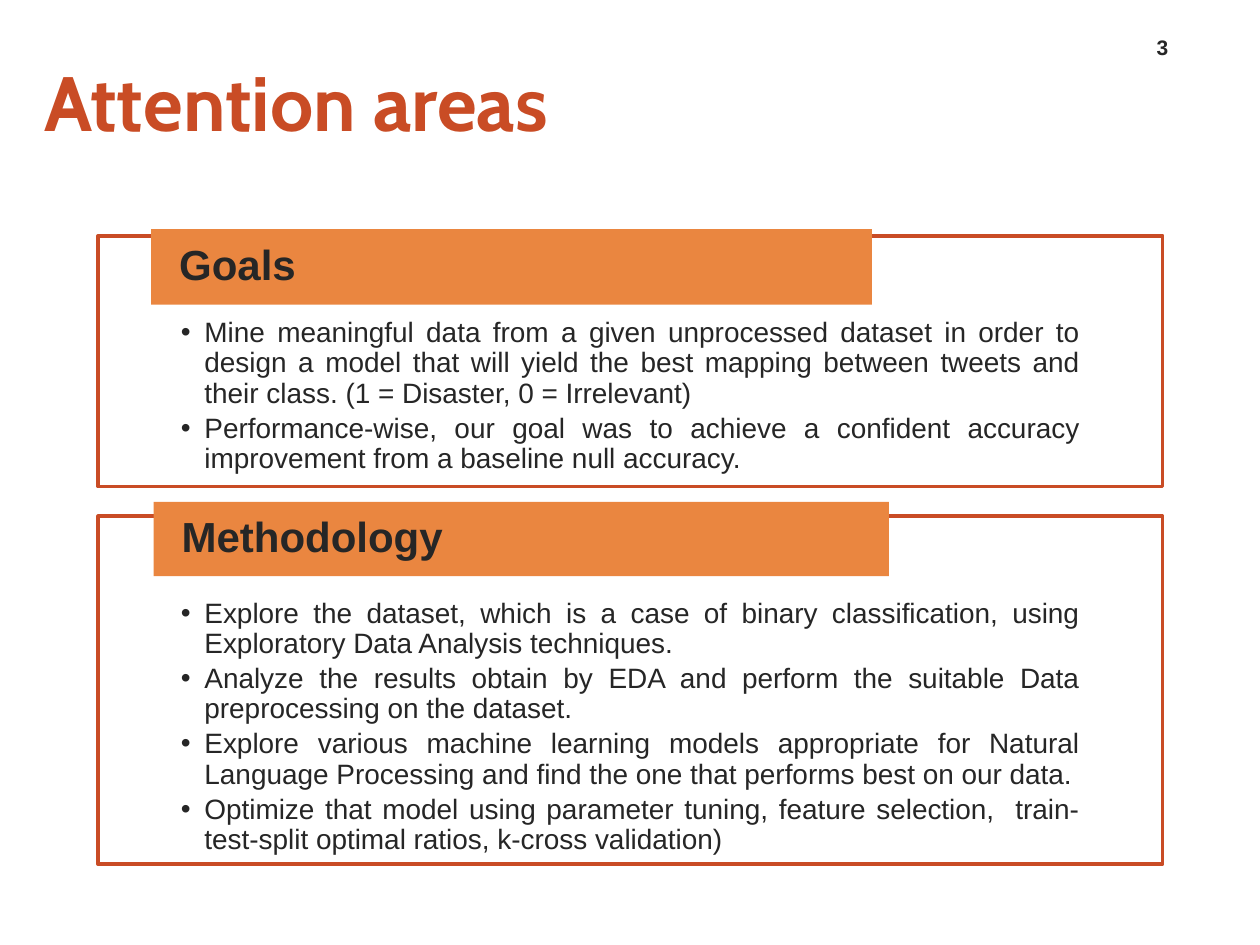
from pptx import Presentation
from pptx.dml.color import RGBColor
from pptx.enum.shapes import MSO_SHAPE
from pptx.enum.text import MSO_ANCHOR, PP_ALIGN
from pptx.oxml.ns import qn
from pptx.util import Pt
from lxml.etree import SubElement

COLORS = {"accent": "C94C25", "banner": "EA8640", "ink": "262626"}

TITLE = "Attention areas"
PAGE_NUMBER = "3"
SECTIONS = [
    {
        "heading": "Goals",
        "banner": (86.4, 131, 411.8, 43.2),
        "panel_top": 134.8,
        "panel_height": 143.2,
        "points": [
            "Mine meaningful data from a given unprocessed dataset in order to design a model "
            "that will yield the best mapping between tweets and their class. "
            "(1 = Disaster, 0 = Irrelevant)",
            "Performance-wise, our goal was to achieve a confident accuracy improvement "
            "from a baseline null accuracy.",
        ],
    },
    {
        "heading": "Methodology",
        "banner": (87.8, 286.8, 420.2, 42.4),
        "panel_top": 295,
        "panel_height": 198.8,
        "points": [
            "Explore the dataset, which is a case of binary classification, using "
            "Exploratory Data Analysis techniques.",
            "Analyze the results obtain by EDA and perform the suitable Data preprocessing "
            "on the dataset.",
            "Explore various machine learning models appropriate for Natural Language "
            "Processing and find the one that performs best on our data.",
            "Optimize that model using parameter tuning, feature selection,  "
            "train-test-split optimal ratios, k-cross validation)",
        ],
    },
]
PANEL_LEFT, PANEL_WIDTH = 56, 608.4
BULLET_INDENT = 13.5


def rgb(name):
    return RGBColor.from_string(COLORS[name])


def add_bullet(paragraph):
    properties = paragraph._p.get_or_add_pPr()
    properties.set("marL", str(Pt(BULLET_INDENT)))
    properties.set("indent", str(-Pt(BULLET_INDENT)))
    SubElement(properties, qn("a:buFont"), typeface="Arial")
    SubElement(properties, qn("a:buChar"), char="•")


def write(shape, lines, size, color="ink", font="Arial", bold=False, align=PP_ALIGN.LEFT,
          anchor=MSO_ANCHOR.TOP, insets=(7.2, 3.6, 7.2, 3.6), bullets=False,
          line_spacing=1.0, space_after=0):
    frame = shape.text_frame
    frame.word_wrap = True
    frame.vertical_anchor = anchor
    (frame.margin_left, frame.margin_top,
     frame.margin_right, frame.margin_bottom) = map(Pt, insets)
    for index, line in enumerate(lines):
        paragraph = frame.paragraphs[0] if index == 0 else frame.add_paragraph()
        if bullets:
            add_bullet(paragraph)
            paragraph.level = 1
        paragraph.alignment = align
        paragraph.line_spacing = line_spacing
        paragraph.space_after = Pt(space_after)
        run = paragraph.add_run()
        run.text = line
        run.font.name = font
        run.font.size = Pt(size)
        run.font.bold = bold
        run.font.color.rgb = rgb(color)


def add_rectangle(slide, box, fill=None, line=None):
    rectangle = slide.shapes.add_shape(MSO_SHAPE.RECTANGLE, *map(Pt, box))
    rectangle.shadow.inherit = False
    if fill:
        rectangle.fill.solid()
        rectangle.fill.fore_color.rgb = rgb(fill)
    else:
        rectangle.fill.background()
    if line:
        rectangle.line.color.rgb = rgb(line)
        rectangle.line.width = Pt(2)
    else:
        rectangle.line.fill.background()
    return rectangle


def add_section(slide, section):
    panel = add_rectangle(
        slide, (PANEL_LEFT, section["panel_top"], PANEL_WIDTH, section["panel_height"]),
        line="accent")
    write(panel, section["points"], 16, align=PP_ALIGN.JUSTIFY, bullets=True,
          insets=(47.3, 47.3, 47.3, 8.5), line_spacing=0.9, space_after=2.8)
    banner = add_rectangle(slide, section["banner"], fill="banner")
    write(banner, [section["heading"]], 24, bold=True, anchor=MSO_ANCHOR.MIDDLE,
          insets=(16, 0, 16, 0), line_spacing=0.9)


def main():
    presentation = Presentation()
    presentation.slide_width, presentation.slide_height = Pt(720), Pt(540)
    slide = presentation.slides.add_slide(presentation.slide_layouts[6])

    title = slide.shapes.add_textbox(Pt(25.2), Pt(31), Pt(402.5), Pt(53.3))
    write(title, [TITLE], 44, color="accent", font="Cabin", bold=True,
          anchor=MSO_ANCHOR.MIDDLE, insets=(0, 3.6, 0, 3.6))
    page_number = slide.shapes.add_textbox(Pt(644.4), Pt(13.7), Pt(39.6), Pt(23.8))
    write(page_number, [PAGE_NUMBER], 12, bold=True, align=PP_ALIGN.CENTER,
          anchor=MSO_ANCHOR.BOTTOM)

    for section in SECTIONS:
        add_section(slide, section)
    presentation.save("out.pptx")


if __name__ == "__main__":
    main()
